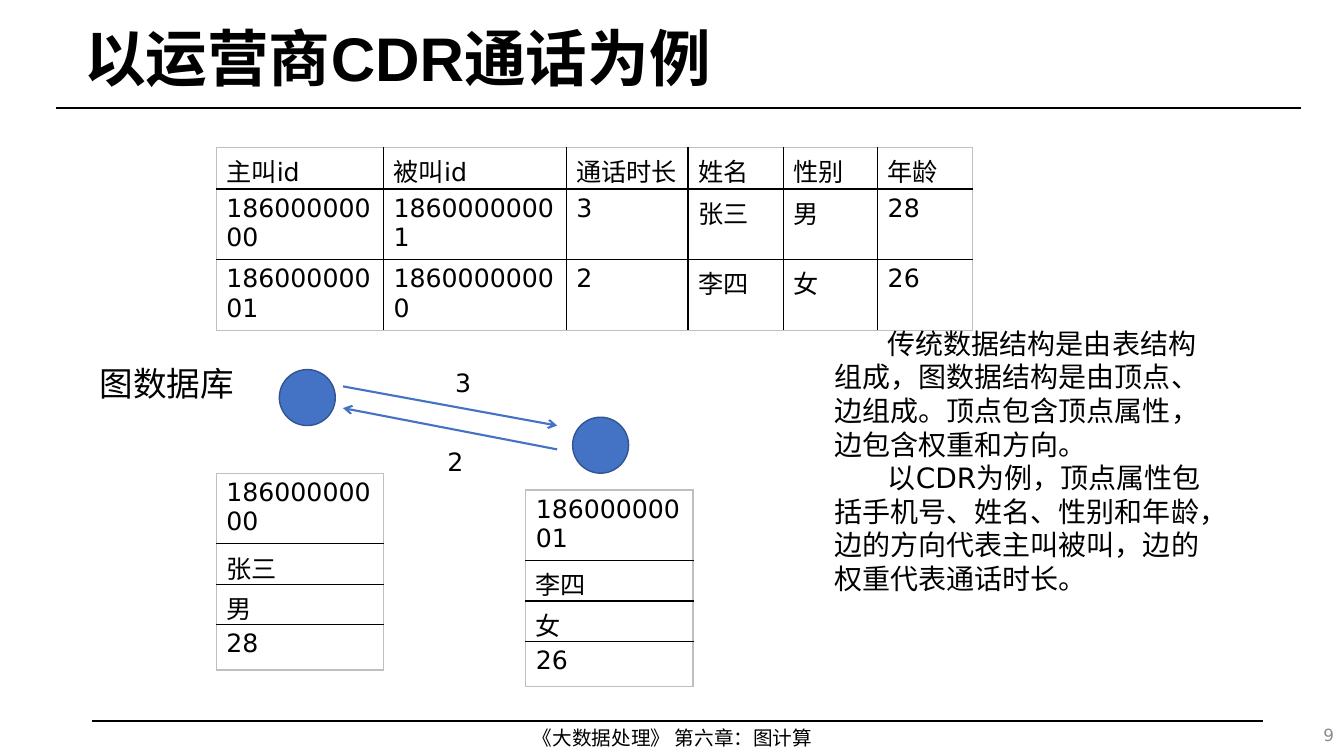
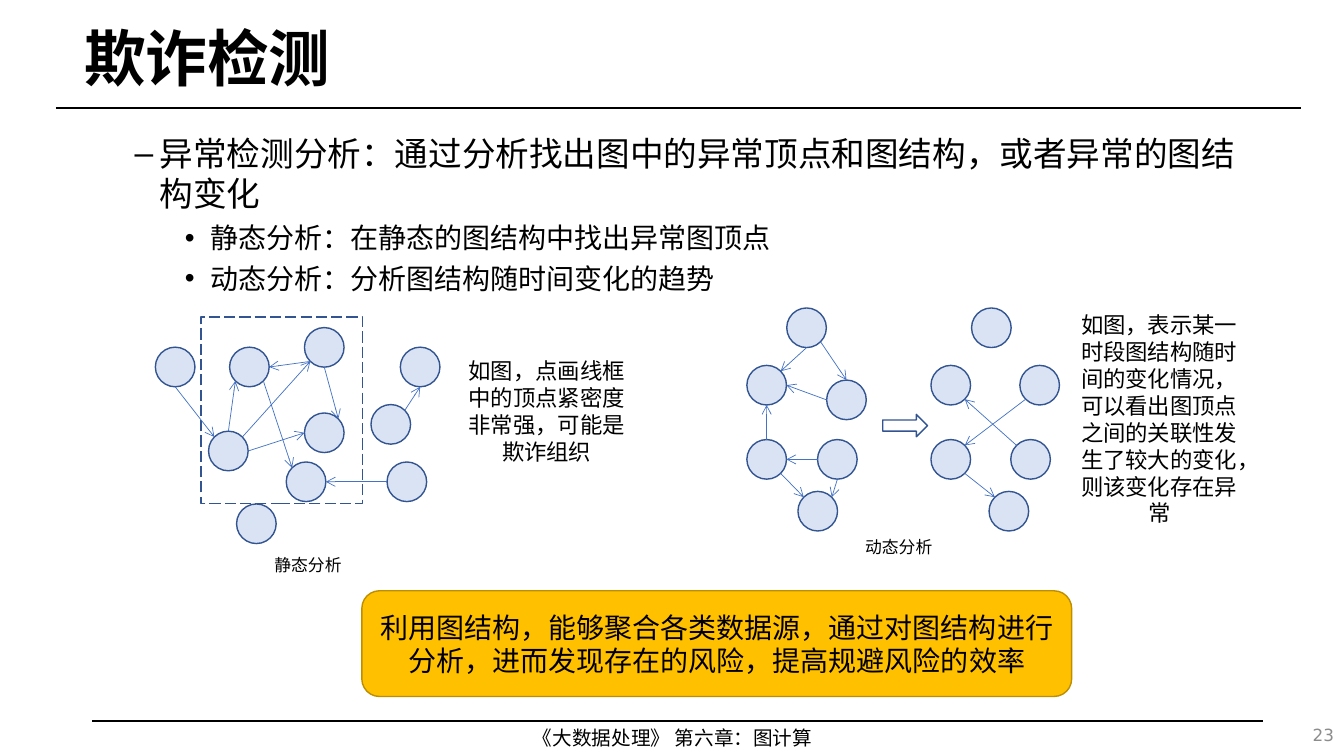
from math import cos, radians, sin

from lxml import etree
from pptx import Presentation
from pptx.dml.color import RGBColor
from pptx.enum.dml import MSO_LINE
from pptx.enum.shapes import MSO_CONNECTOR, MSO_SHAPE
from pptx.enum.text import MSO_ANCHOR, PP_ALIGN
from pptx.oxml.ns import qn
from pptx.util import Pt

LEFT, CENTER, RIGHT = PP_ALIGN.LEFT, PP_ALIGN.CENTER, PP_ALIGN.RIGHT
TOP, MIDDLE = MSO_ANCHOR.TOP, MSO_ANCHOR.MIDDLE
OVAL, RECT, ROUND, ARROW = (MSO_SHAPE.OVAL, MSO_SHAPE.RECTANGLE,
                            MSO_SHAPE.ROUNDED_RECTANGLE, MSO_SHAPE.RIGHT_ARROW)
STRAIGHT = MSO_CONNECTOR.STRAIGHT
LONG_DASH = MSO_LINE.LONG_DASH

COLORS = {
    "text": "000000",
    "rule": "000000",
    "frame": "BFBFBF",
    "number": "8C8C8C",
    "blue": "4472C4",
    "outline": "325491",
    "node": "DAE3F3",
    "gold": "FFC000",
    "gold_line": "BD8E00",
}
CJK, SANS, HEADING = "Noto Sans CJK SC", "DejaVu Sans", "Arial"


def write(tf, lines, size, font=CJK, align=LEFT, anchor=TOP, color="text",
          bold=False, spacing=None):
    """Fill a text frame, one paragraph per line, in Latin and East Asian fonts."""
    tf.text = "\n".join(lines)
    tf.word_wrap = True
    tf.vertical_anchor = anchor
    for p in tf.paragraphs:
        p.alignment = align
        if spacing:
            p.line_spacing = spacing
        for r in p.runs:
            r.font.size = Pt(size)
            r.font.bold = bold
            r.font.color.rgb = RGBColor.from_string(COLORS[color])
            r.font.name = font
            etree.SubElement(r._r.get_or_add_rPr(), qn("a:ea"), typeface=CJK)


def add_line(s, x1, y1, x2, y2, color, width, arrow=True):
    line = s.shapes.add_connector(STRAIGHT, Pt(x1), Pt(y1), Pt(x2), Pt(y2))
    line.line.color.rgb = RGBColor.from_string(COLORS[color])
    line.line.width = Pt(width)
    if arrow:
        etree.SubElement(line.line._get_or_add_ln(), qn("a:tailEnd"), type="arrow")
    etree.SubElement(line._element.spPr, qn("a:effectLst"))


prs = Presentation()
prs.slide_width, prs.slide_height = Pt(960), Pt(540)
blank = prs.slide_layouts[6]

# Title, rules, footer and number on every slide
for title, number in [("以运营商CDR通话为例", "9"), ("欺诈检测", "23")]:
    s = prs.slides.add_slide(blank)
    add_line(s, 40, 77, 929, 77, "rule", 1.75, arrow=False)
    add_line(s, 66, 515, 902, 515, "rule", 1.25, arrow=False)
    tb = s.shapes.add_textbox(Pt(53), Pt(11), Pt(860), Pt(66))
    write(tb.text_frame, [title], 44, HEADING, anchor=MIDDLE, bold=True, spacing=0.9)
    tb = s.shapes.add_textbox(Pt(287), Pt(515), Pt(387), Pt(24))
    write(tb.text_frame, ["《大数据处理》 第六章：图计算"], 14, align=CENTER, spacing=Pt(16.8))
    tb = s.shapes.add_textbox(Pt(744), Pt(510.5), Pt(216), Pt(29))
    write(tb.text_frame, [number], 12, SANS, RIGHT, MIDDLE, "number")
calls, fraud = prs.slides

# Tables
call_rows = [
    ["主叫id", "被叫id", "通话时长", "姓名", "性别", "年龄"],
    ["18600000000", "18600000001", "3", "张三", "男", "28"],
    ["18600000001", "18600000000", "2", "李四", "女", "26"],
]
zhang = [["18600000000"], ["张三"], ["男"], ["28"]]
li = [["18600000001"], ["李四"], ["女"], ["26"]]
person_heights = [27.5, 27.5, 27.5, 32.5]
for x, y, widths, heights, rows in [
    (154.5, 105.5, [119.5, 130.5, 87, 68, 67.5, 67.5], [29.5] * 3, call_rows),
    (154.5, 338, [119.5], person_heights, zhang),
    (375.5, 350, [119.5], person_heights, li),
]:
    table = calls.shapes.add_table(len(rows), len(widths), Pt(x), Pt(y),
                                   Pt(sum(widths)), Pt(sum(heights))).table
    table.first_row = table.horz_banding = False
    for column, width in zip(table.columns, widths):
        column.width = Pt(width)
    for i, row in enumerate(rows):
        table.rows[i].height = Pt(heights[i])
        for j, text in enumerate(row):
            cell = table.cell(i, j)
            write(cell.text_frame, [text], 18, SANS)
            tcPr = cell._tc.get_or_add_tcPr()
            for tag, outer in [("a:lnL", j == 0), ("a:lnR", j == len(row) - 1),
                               ("a:lnT", i == 0), ("a:lnB", i == len(rows) - 1)]:
                ln = etree.SubElement(tcPr, qn(tag), w=str(Pt(1)))
                fill = etree.SubElement(ln, qn("a:solidFill"))
                etree.SubElement(fill, qn("a:srgbClr"),
                                 val=COLORS["frame" if outer else "rule"])
            cell.fill.background()

# Graph nodes, boxes and arrow
NODE = 28.3
nodes = {
    "A": (111, 248), "B": (149, 308), "C": (169, 360), "D": (204.5, 330),
    "E": (217.5, 295), "F": (217.5, 234), "G": (164, 248), "H": (265, 289),
    "I": (286, 248), "J": (276.5, 330),
    "K": (562, 220), "L": (533.5, 261), "M": (590.5, 271.5), "N": (584, 314),
    "O": (533.5, 314), "P": (570, 351),
    "Q": (694, 220), "R": (665, 261), "S": (728.5, 261), "T": (665, 314),
    "U": (722, 314), "V": (706.5, 351),
}
shapes = [
    (calls, OVAL, 199.5, 264, 40, 40, "blue", "outline"),
    (calls, OVAL, 409, 298, 40, 40, "blue", "outline"),
    (fraud, RECT, 143.5, 226.5, 115.5, 133, None, "outline"),
    (fraud, ARROW, 630.5, 296, 32, 16, None, "outline"),
    (fraud, ROUND, 258.5, 422, 507, 75.5, "gold", "gold_line"),
]
shapes += [(fraud, OVAL, x, y, NODE, NODE, "node", "outline") for x, y in nodes.values()]
for s, kind, x, y, w, h, fill, outline in shapes:
    sp = s.shapes.add_shape(kind, Pt(x), Pt(y), Pt(w), Pt(h))
    sp.shadow.inherit = False
    sp.line.color.rgb = RGBColor.from_string(COLORS[outline])
    sp.line.width = Pt(1)
    if fill:
        sp.fill.solid()
        sp.fill.fore_color.rgb = RGBColor.from_string(COLORS[fill])
    else:
        sp.fill.background()
    if kind == RECT:
        sp.line.dash_style = LONG_DASH
    if kind == ROUND:
        write(sp.text_frame,
              ["利用图结构，能够聚合各类数据源，通过对图结构进行分析，进而发现存在的风险，提高规避风险的效率"],
              20, align=CENTER, anchor=MIDDLE, spacing=Pt(24))

# Graph edges: each end is a node and a compass point on its rim
add_line(calls, 245, 276, 398, 304, "blue", 1.5)
add_line(calls, 398, 321, 245, 291.5, "blue", 1.5)
compass = {name: radians(45 * i) for i, name in
           enumerate(["E", "SE", "S", "SW", "W", "NW", "N", "NE"])}
edges = [
    "A S B NW", "B N G SW", "F SW G E", "B NE F SW", "B E E W", "F S E NE",
    "G SE D NW", "H NE I S", "J W D E",
    "K S L NE", "K SE M N", "M W L E", "O N L S", "N S P NE", "N W O E",
    "O SE P NW", "U NW R SE", "S SW T NE", "T SE V NW",
]
for edge in edges:
    start, start_side, end, end_side = edge.split()
    points = []
    for node, side in [(start, start_side), (end, end_side)]:
        x, y = nodes[node]
        points += [x + NODE / 2 * (1 + cos(compass[side])),
                   y + NODE / 2 * (1 + sin(compass[side]))]
    add_line(fraud, *points, "blue", 0.5)

# Labels and captions
for s, x, y, w, h, text, size, align in [
    (calls, 64, 255.5, 158, 40, "图数据库", 24, LEFT),
    (fraud, 179, 393, 82, 22, "静态分析", 12, CENTER),
    (fraud, 601, 380, 82, 22, "动态分析", 12, CENTER),
    (fraud, 324.5, 251.5, 132, 85, "如图，点画线框中的顶点紧密度非常强，可能是欺诈组织", 16, CENTER),
    (fraud, 762, 219, 132, 163,
     "如图，表示某一时段图结构随时间的变化情况，可以看出图顶点之间的关联性发生了较大的变化，则该变化存在异常",
     16, CENTER),
]:
    tb = s.shapes.add_textbox(Pt(x), Pt(y), Pt(w), Pt(h))
    write(tb.text_frame, [text], size, align=align, spacing=Pt(1.2 * size))

for x, y, weight in [(318, 258.5, "3"), (312.5, 315.5, "2")]:
    tb = calls.shapes.add_textbox(Pt(x), Pt(y), Pt(24), Pt(29))
    write(tb.text_frame, [weight], 18, SANS)
    tb.text_frame.word_wrap = False

# Explanation with indented first lines
tb = calls.shapes.add_textbox(Pt(589), Pt(229.5), Pt(276.5), Pt(201))
write(tb.text_frame, [
    "传统数据结构是由表结构组成，图数据结构是由顶点、边组成。顶点包含顶点属性，边包含权重和方向。",
    "以CDR为例，顶点属性包括手机号、姓名、性别和年龄，边的方向代表主叫被叫，边的权重代表通话时长。",
], 20, SANS, spacing=Pt(24))
for p in tb.text_frame.paragraphs:
    p._p.get_or_add_pPr().set("indent", str(Pt(38)))

# Bulleted outline
tb = fraud.shapes.add_textbox(Pt(53), Pt(91.5), Pt(840), Pt(125))
write(tb.text_frame, [
    "异常检测分析：通过分析找出图中的异常顶点和图结构，或者异常的图结构变化",
    "静态分析：在静态的图结构中找出异常图顶点",
    "动态分析：分析图结构随时间变化的趋势",
], 20, SANS)
for i, p in enumerate(tb.text_frame.paragraphs):
    size, margin, bullet = (20, 90, "•") if i else (24, 54, "–")
    pPr = p._p.get_or_add_pPr()
    pPr.set("marL", str(Pt(margin)))
    pPr.set("indent", str(Pt(-18)))
    etree.SubElement(pPr, qn("a:buFont"), typeface=HEADING)
    etree.SubElement(pPr, qn("a:buChar"), char=bullet)
    p.line_spacing = Pt(1.2 * size)
    if i:
        p.space_before = Pt(5)
    p.runs[0].font.size = Pt(size)

prs.save("out.pptx")
